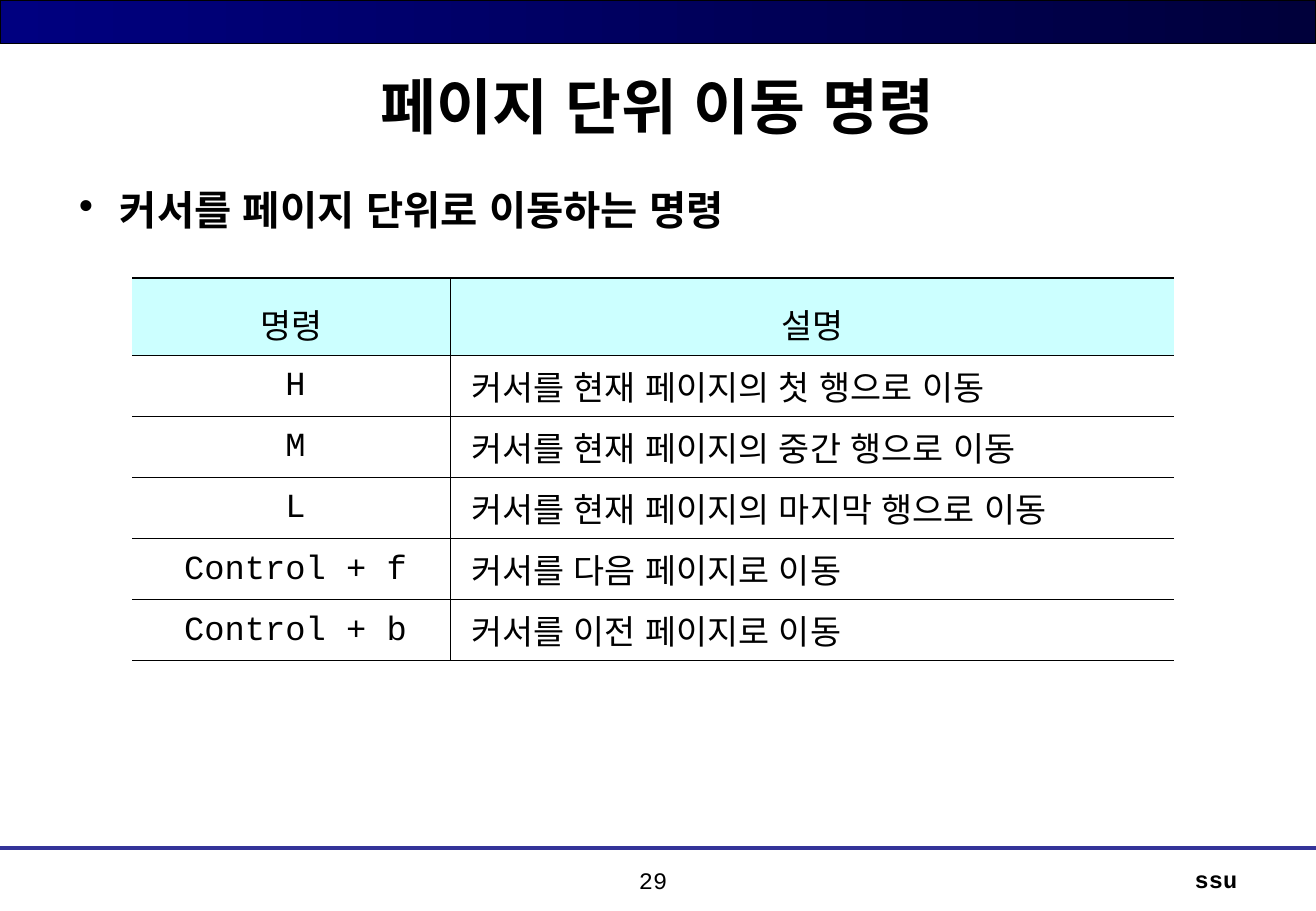
from lxml.etree import SubElement
from pptx import Presentation
from pptx.dml.color import RGBColor
from pptx.enum.lang import MSO_LANGUAGE_ID as Language
from pptx.enum.shapes import MSO_CONNECTOR as Connector, MSO_SHAPE as Shape
from pptx.enum.text import MSO_ANCHOR as Anchor, PP_ALIGN as Align
from pptx.oxml import parse_xml
from pptx.oxml.ns import nsdecls, qn
from pptx.util import Inches, Pt

TITLE = "페이지 단위 이동 명령"
BULLET = "커서를 페이지 단위로 이동하는 명령"
PAGE_NUMBER = "29"
SCHOOL = "ssu"
COMMANDS = [
    ("명령", "설명"),
    ("H", "커서를 현재 페이지의 첫 행으로 이동"),
    ("M", "커서를 현재 페이지의 중간 행으로 이동"),
    ("L", "커서를 현재 페이지의 마지막 행으로 이동"),
    ("Control + f", "커서를 다음 페이지로 이동"),
    ("Control + b", "커서를 이전 페이지로 이동"),
]

FONT = "Courier New"
COLORS = {"text": "000000", "band start": "000080", "band end": "00003B",
          "rule": "333399", "header": "CCFFFF"}
WIDTH, HEIGHT = 10.84, 7.5
BAND_HEIGHT = 0.36
RULE_TOP = 6.98
TABLE_LEFT, TABLE_TOP, TABLE_BOTTOM = 1.09, 2.29, 5.44
COLUMNS = (2.62, 5.96)
HEADER_HEIGHT = 0.63
ROW_HEIGHT = (TABLE_BOTTOM - TABLE_TOP - HEADER_HEIGHT) / (len(COMMANDS) - 1)
# Top and bottom cell margins that centre Latin and Korean text in a row
HEADER_MARGINS = (0.05, 0.14)
BODY_MARGINS = ((0.07, 0.05), (0.05, 0.1))
THIN, THICK = 0.11, 0.96


def color(name):
    return RGBColor.from_string(COLORS[name])


def write(para, text, size, align, bold=False):
    para.alignment = align
    span = para.add_run()
    span.text = text
    font = span.font
    font.name, font.size, font.bold = FONT, Pt(size), bold
    font.color.rgb = color("text")
    font.language_id = Language.KOREAN


def add_text(page, place, text, size, align, bold=False, anchor=Anchor.TOP):
    box = page.shapes.add_textbox(*map(Inches, place))
    frame = box.text_frame
    frame.word_wrap = True
    frame.vertical_anchor = anchor
    para = frame.paragraphs[0]
    write(para, text, size, align, bold)
    return para


def add_band_and_rule(page):
    band = page.shapes.add_shape(Shape.RECTANGLE, 0, 0, Inches(WIDTH), Inches(BAND_HEIGHT))
    band.shadow.inherit = False
    band.fill.gradient()
    band.fill.gradient_angle = 0
    for stop, position, name in zip(band.fill.gradient_stops, (0, 1),
                                    ("band start", "band end")):
        stop.position = position
        stop.color.rgb = color(name)
    band.line.color.rgb = color("text")
    band.line.width = Pt(0.75)

    rule = page.shapes.add_connector(Connector.STRAIGHT, 0, Inches(RULE_TOP),
                                     Inches(WIDTH), Inches(RULE_TOP))
    rule.line.color.rgb = color("rule")
    rule.line.width = Pt(2.5)
    SubElement(rule.element.spPr, qn("a:effectLst"))


def add_bullet(para):
    props = para._p.get_or_add_pPr()
    props.set("marL", str(Inches(0.38)))
    props.set("indent", str(-Inches(0.38)))
    SubElement(props, qn("a:buFont")).set("typeface", FONT)
    SubElement(props, qn("a:buChar")).set("char", "•")


def set_borders(cell, widths):
    """Draw the left, right, top and bottom edges; a width of 0 hides one."""
    props = cell._tc.get_or_add_tcPr()
    for index, (side, width) in enumerate(zip("LRTB", widths)):
        paint = (f'<a:solidFill><a:srgbClr val="{COLORS["text"]}"/></a:solidFill>'
                 if width else "<a:noFill/>")
        props.insert(index, parse_xml(
            f'<a:ln{side} {nsdecls("a")} w="{Pt(width)}">{paint}</a:ln{side}>'))


def add_command_table(page):
    heights = [HEADER_HEIGHT] + [ROW_HEIGHT] * (len(COMMANDS) - 1)
    place = (TABLE_LEFT, TABLE_TOP, sum(COLUMNS), sum(heights))
    table = page.shapes.add_table(len(COMMANDS), len(COLUMNS),
                                  *map(Inches, place)).table
    table.first_row = table.horz_banding = False
    for column, width in zip(table.columns, COLUMNS):
        column.width = Inches(width)
    for row, height in zip(table.rows, heights):
        row.height = Inches(height)

    last = len(COMMANDS) - 1
    for r, texts in enumerate(COMMANDS):
        for c, text in enumerate(texts):
            cell = table.cell(r, c)
            cell.vertical_anchor = Anchor.MIDDLE
            margins = BODY_MARGINS[c] if r else HEADER_MARGINS
            cell.margin_top, cell.margin_bottom = map(Inches, margins)
            para = cell.text_frame.paragraphs[0]
            if r == 0:
                cell.fill.solid()
                cell.fill.fore_color.rgb = color("header")
                cell.margin_left = cell.margin_right = Inches(0.02)
                para.line_spacing = 1.3
            else:
                cell.fill.background()
                para._p.get_or_add_pPr().set("marL", str(Inches(0.07)))
            centred = r == 0 or c == 0
            write(para, text, 20, Align.CENTER if centred else Align.JUSTIFY)
            set_borders(cell, (THIN if c else 0, 0 if c else THIN,
                               THIN if r else THICK,
                               THICK if r == last else THIN))


def main():
    deck = Presentation()
    deck.slide_width, deck.slide_height = Inches(WIDTH), Inches(HEIGHT)
    page = deck.slides.add_slide(deck.slide_layouts[6])
    add_band_and_rule(page)
    add_text(page, (0.54, BAND_HEIGHT, 9.75, 1.01), TITLE, 36, Align.CENTER,
             bold=True, anchor=Anchor.MIDDLE)
    bullet = add_text(page, (0.51, 1.47, 9.78, 5.43), BULLET, 24, Align.LEFT, bold=True)
    bullet.space_before = Pt(6)
    add_bullet(bullet)
    add_text(page, (7.7, 7.07, 2.59, 0.37), SCHOOL, 14, Align.RIGHT, bold=True)
    add_text(page, (4.65, 7.08, 1.46, 0.37), PAGE_NUMBER, 14, Align.CENTER)
    add_command_table(page)
    deck.save("out.pptx")


if __name__ == "__main__":
    main()
